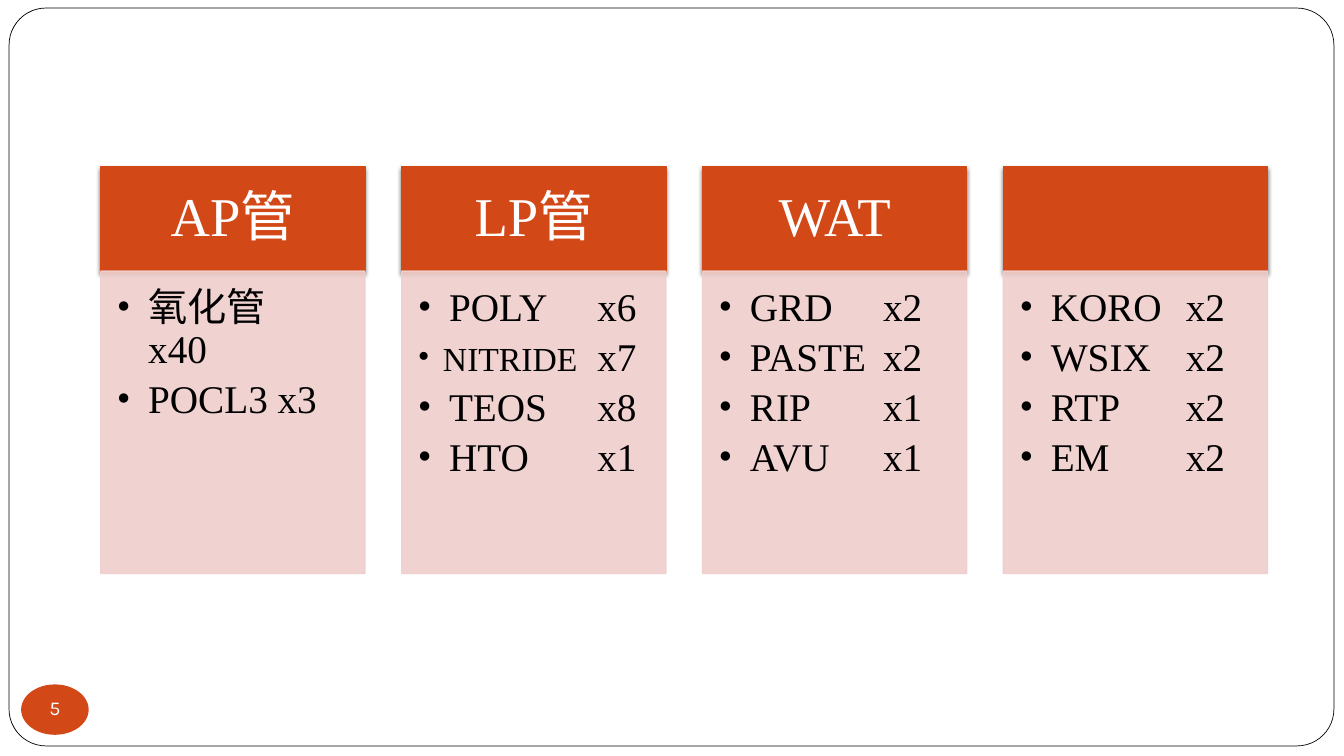
import lxml.etree
import pptx
import pptx.dml.color
import pptx.enum.shapes
import pptx.enum.text
import pptx.oxml.ns
import pptx.util

WIDTH, HEIGHT = 13.33, 7.5
COLUMN_LEFT, COLUMN_PITCH, COLUMN_WIDTH = 1, 2.984, 2.62
HEADER_TOP, HEADER_HEIGHT = 0.22 * HEIGHT, 0.14 * HEIGHT
LIST_TOP, LIST_HEIGHT = 2.69, 0.4 * HEIGHT
ORANGE, PINK, WHITE, BLACK = "D34817", "EFCFCC", "FFFFFF", "000000"
SERIF = "Times New Roman"
SHAPES = pptx.enum.shapes.MSO_SHAPE

EQUIPMENT = [
    ("AP管", 0, [("氧化管\vx40",), ("POCL3 x3",)]),
    ("LP管", 1.78, [("POLY", "x6"), ("NITRIDE", "x7"), ("TEOS", "x8"), ("HTO", "x1")]),
    ("WAT", 1.63, [("GRD", "x2"), ("PASTE", "x2"), ("RIP", "x1"), ("AVU", "x1")]),
    ("", 1.65, [("KORO", "x2"), ("WSIX", "x2"), ("RTP", "x2"), ("EM", "x2")]),
]


def color(value):
    """Turn a hex string into a colour."""
    return pptx.dml.color.RGBColor.from_string(value)


def add_xml(parent, tag, **attributes):
    """Append a DrawingML element to its parent."""
    attributes = {key: str(value) for key, value in attributes.items()}
    return lxml.etree.SubElement(parent, pptx.oxml.ns.qn(tag), attributes)


def add_panel(slide, kind, box, fill, line=None, weight=1):
    """Draw a filled preset shape without a shadow."""
    panel = slide.shapes.add_shape(kind, *(pptx.util.Inches(part) for part in box))
    panel.shadow.inherit = False
    panel.fill.solid()
    panel.fill.fore_color.rgb = color(fill)
    if line:
        panel.line.color.rgb = color(line)
        panel.line.width = pptx.util.Pt(weight)
    else:
        panel.line.fill.background()
    return panel


def set_insets(frame, left, top, right, bottom):
    """Set the four text margins in inches."""
    frame.margin_left, frame.margin_top = pptx.util.Inches(left), pptx.util.Inches(top)
    frame.margin_right, frame.margin_bottom = pptx.util.Inches(right), pptx.util.Inches(bottom)


def style_font(font, size, name, shade):
    """Give a font its size, face and colour."""
    font.size, font.name = pptx.util.Pt(size), name
    font.color.rgb = color(shade)


def write_centred(panel, text, size, name):
    """Write one white line in the middle of a panel."""
    frame = panel.text_frame
    frame.vertical_anchor = pptx.enum.text.MSO_ANCHOR.MIDDLE
    label = frame.paragraphs[0]
    label.text = text
    label.alignment = pptx.enum.text.PP_ALIGN.CENTER
    label.line_spacing = 0.9
    for run in label.runs:
        style_font(run.font, size, name, WHITE)


def add_header(slide, left, title):
    """Draw the orange heading of a column with its soft shadow."""
    box = (left, HEADER_TOP, COLUMN_WIDTH, HEADER_HEIGHT)
    header = add_panel(slide, SHAPES.RECTANGLE, box, ORANGE, ORANGE)
    effects = header._element.spPr.find(pptx.oxml.ns.qn("a:effectLst"))
    shadow = add_xml(effects, "a:outerShdw", blurRad=pptx.util.Pt(3), dist=pptx.util.Pt(2),
                     dir=5400000, rotWithShape=0)
    add_xml(add_xml(shadow, "a:srgbClr", val=BLACK), "a:alpha", val=50000)
    set_insets(header.text_frame, 0.3, 0.17, 0.3, 0.17)
    if title:
        write_centred(header, title, 39, SERIF)


def write_item(paragraph, item, tab):
    """Write one bulleted machine name with its count at the tab stop."""
    name_size = 24 if item[0] == "NITRIDE" else 28
    indent = pptx.util.Inches(0.25 if name_size == 24 else 0.31)
    paragraph.alignment = pptx.enum.text.PP_ALIGN.LEFT
    paragraph.line_spacing = 0.9
    paragraph.space_after = pptx.util.Pt(5.5)
    properties = paragraph._p.get_or_add_pPr()
    properties.set("marL", str(indent))
    properties.set("indent", str(-indent))
    add_xml(properties, "a:buFont", typeface=SERIF)
    add_xml(properties, "a:buChar", char="•")
    if tab:
        stops = add_xml(properties, "a:tabLst")
        add_xml(stops, "a:tab", pos=pptx.util.Inches(tab), algn="l")
    paragraph.text = "\t".join(item)
    style_font(paragraph.font, 28, SERIF, BLACK)
    if name_size != 28:
        paragraph.text = item[0]
        paragraph.add_run().text = "\t" + item[1]
    for run in paragraph.runs:
        style_font(run.font, 28, SERIF, BLACK)
    paragraph.runs[0].font.size = pptx.util.Pt(name_size)


def add_list(slide, left, items, tab):
    """Draw the pink panel of a column and fill in its list."""
    box = (left, LIST_TOP, COLUMN_WIDTH, LIST_HEIGHT)
    panel = add_panel(slide, SHAPES.RECTANGLE, box, PINK, PINK)
    for shade in panel._element.spPr.iter(pptx.oxml.ns.qn("a:srgbClr")):
        add_xml(shade, "a:alpha", val=90000)
    frame = panel.text_frame
    frame.word_wrap = True
    frame.vertical_anchor = pptx.enum.text.MSO_ANCHOR.TOP
    set_insets(frame, 0.16, 0.16, 0.22, 0.24)
    for index, item in enumerate(items):
        paragraph = frame.add_paragraph() if index else frame.paragraphs[0]
        write_item(paragraph, item, tab)


def main():
    """Build the equipment slide."""
    deck = pptx.Presentation()
    deck.slide_width, deck.slide_height = pptx.util.Inches(WIDTH), pptx.util.Inches(HEIGHT)
    slide = deck.slides.add_slide(deck.slide_layouts[6])

    border = add_panel(slide, SHAPES.ROUNDED_RECTANGLE, (0.09, 0.08, 13.14, 7.32),
                       WHITE, BLACK, 0.5)
    border.adjustments[0] = 0.05
    page_badge = add_panel(slide, SHAPES.OVAL, (0.21, 6.79, 0.67, 0.5), ORANGE)
    set_insets(page_badge.text_frame, 0, 0, 0, 0)
    page_badge.text_frame.word_wrap = False
    write_centred(page_badge, "5", 14, "Karla")

    for index, (title, tab, items) in enumerate(EQUIPMENT):
        left = COLUMN_LEFT + index * COLUMN_PITCH
        add_header(slide, left, title)
        add_list(slide, left, items, tab)

    deck.save("out.pptx")


if __name__ == "__main__":
    main()
